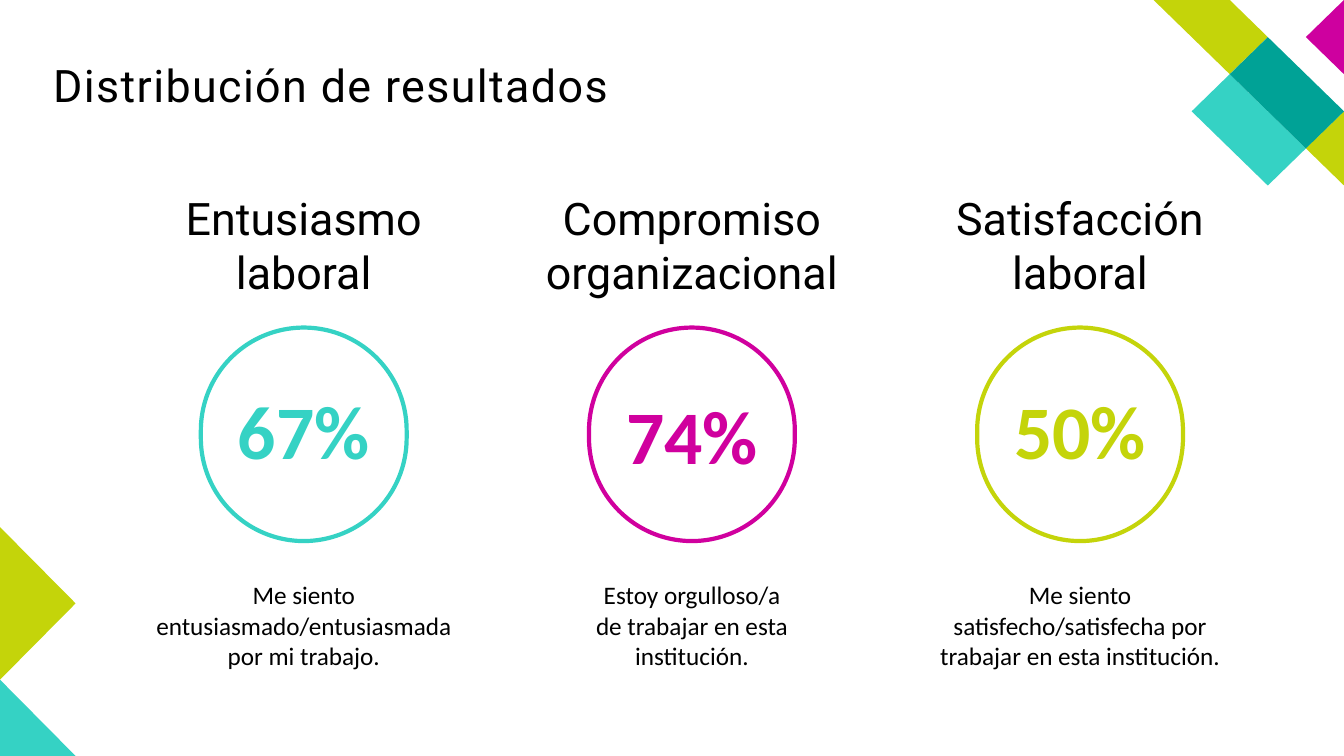
import pptx
import pptx.dml.color
import pptx.enum.shapes
import pptx.enum.text
import pptx.util

Pt = pptx.util.Pt
ALIGN = pptx.enum.text.PP_ALIGN
ANCHOR = pptx.enum.text.MSO_ANCHOR
AUTO_SIZE = pptx.enum.text.MSO_AUTO_SIZE

SLIDE_WIDTH, SLIDE_HEIGHT = 960, 540
BLACK, LIME, TURQUOISE, MAGENTA, TEAL = "000000", "C4D40A", "35D2C4", "CE009F", "00A296"
MAGENTA_RING = "D0009E"

HEADING = {"name": "Roboto", "size": Pt(32), "bold": False}
PERCENT = {"name": "Calibri", "size": Pt(54), "bold": True}
STATEMENT = {"name": "Calibri", "size": Pt(18), "bold": False}

CORNER_TILES = [
    (LIME, [[(3, 1), (2, 0), (0, 0), (2, 2)], [(5, 3), (4, 4), (5, 5)]]),
    (TURQUOISE, [[(2, 2), (1, 3), (3, 5), (4, 4)]]),
    (MAGENTA, [[(5, 2), (5, 0), (4, 1)]]),
    (TEAL, [[(3, 1), (2, 2), (4, 4), (5, 3)]]),
]
EDGE_TILES = [
    (TURQUOISE, [[(1, 3), (0, 3), (0, 2)]]),
    (LIME, [[(0, 0), (1, 1), (0, 2)]]),
]

RESULTS = [
    {"heading": ["Entusiasmo", "laboral"], "percent": "67%", "percent_top": 142,
     "color": TURQUOISE, "statement_width": 231,
     "statement": ["Me siento entusiasmado/entusiasmada por mi trabajo."]},
    {"heading": ["Compromiso organizacional"], "percent": "74%", "percent_top": 145.5,
     "color": MAGENTA_RING, "statement_width": 173.5,
     "statement": ["Estoy orgulloso/a", "de trabajar en esta institución."]},
    {"heading": ["Satisfacción laboral"], "percent": "50%", "percent_top": 142.5,
     "color": LIME, "statement_width": 217,
     "statement": ["Me siento satisfecho/satisfecha por trabajar en esta institución."]},
]


def rgb(value):
    """Turn a hex string into a colour."""
    return pptx.dml.color.RGBColor.from_string(value)


def apply_format(target, values):
    """Set every attribute of a dict on an object."""
    for name, value in values.items():
        setattr(target, name, value)


def write_lines(text_frame, lines, font, color, paragraph_format):
    """Write one formatted paragraph for each line."""
    for index, line in enumerate(lines):
        paragraph = text_frame.add_paragraph() if index else text_frame.paragraphs[0]
        run = paragraph.add_run()
        run.text = line
        apply_format(paragraph, paragraph_format)
        apply_format(run.font, font)
        run.font.color.rgb = rgb(color)


def add_title(slide, text, left, top, width, height):
    """Place and format the title placeholder."""
    title = slide.shapes.title
    apply_format(title, {"left": Pt(left), "top": Pt(top),
                         "width": Pt(width), "height": Pt(height)})
    apply_format(title.text_frame, {
        "margin_left": 0, "margin_top": 0, "margin_right": 0, "margin_bottom": 0,
        "word_wrap": True, "auto_size": AUTO_SIZE.NONE, "vertical_anchor": ANCHOR.MIDDLE})
    write_lines(title.text_frame, [text], HEADING, BLACK,
                {"alignment": ALIGN.LEFT, "line_spacing": 0.9, "space_before": Pt(0)})
    title.text_frame.paragraphs[0].runs[0].font._element.set("spc", "100")


def add_centered_text(slide, lines, font, color, center, top, width, height,
                      line_spacing=1.0, anchor=ANCHOR.TOP):
    """Add a text box centred on a column axis."""
    box = slide.shapes.add_textbox(Pt(center - width / 2), Pt(top), Pt(width), Pt(height))
    apply_format(box.text_frame, {"word_wrap": True, "vertical_anchor": anchor})
    write_lines(box.text_frame, lines, font, color,
                {"alignment": ALIGN.CENTER, "line_spacing": line_spacing})


def add_tiles(slide, tiles, left, top, width, height, columns, rows):
    """Draw coloured tiles on a grid that fills the given box."""
    def place(node):
        return Pt(left + node[0] * width / columns), Pt(top + node[1] * height / rows)

    for color, outlines in tiles:
        builder = slide.shapes.build_freeform(*place(outlines[0][0]))
        for index, outline in enumerate(outlines):
            if index:
                builder.move_to(*place(outline[0]))
            builder.add_line_segments([place(node) for node in outline[1:]], close=True)
        shape = builder.convert_to_shape()
        shape.shadow.inherit = False
        shape.fill.solid()
        shape.fill.fore_color.rgb = rgb(color)
        shape.line.fill.background()


def add_result(slide, result, left, top, width):
    """Draw a heading, a ringed percentage and a statement in one column."""
    center = left + width / 2
    add_centered_text(slide, result["heading"], HEADING, BLACK, center, top, width, 85)
    ring_width, ring_height = 147, 152.5
    ring = slide.shapes.add_shape(
        pptx.enum.shapes.MSO_SHAPE.ROUNDED_RECTANGLE,
        Pt(center - ring_width / 2), Pt(top + 101.5), Pt(ring_width), Pt(ring_height))
    ring.adjustments[0] = 0.5
    ring.shadow.inherit = False
    ring.fill.background()
    ring.line.color.rgb = rgb(result["color"])
    ring.line.width = Pt(3)
    add_centered_text(slide, [result["percent"]], PERCENT, result["color"], center,
                      top + result["percent_top"], 144, 72, 0.9, ANCHOR.MIDDLE)
    add_centered_text(slide, result["statement"], STATEMENT, BLACK, center,
                      top + 278, result["statement_width"], 73)


def add_results(slide, left, top, width, column_width):
    """Spread the result columns evenly over the given width."""
    step = (width - column_width) / (len(RESULTS) - 1)
    for index, result in enumerate(RESULTS):
        add_result(slide, result, left + index * step, top, column_width)


def main():
    """Build the slide and save it."""
    presentation = pptx.Presentation()
    presentation.slide_width = Pt(SLIDE_WIDTH)
    presentation.slide_height = Pt(SLIDE_HEIGHT)
    slide = presentation.slides.add_slide(presentation.slide_layouts[5])
    add_tiles(slide, CORNER_TILES, 824, 0, 136, 132.5, 5, 5)
    add_tiles(slide, EDGE_TILES, 0, 376.5, 54, 163.5, 1, 3)
    add_title(slide, "Distribución de resultados", 38, 34.5, 819.5, 56)
    add_results(slide, 86, 132.5, 816.5, 262)
    presentation.save("out.pptx")


if __name__ == "__main__":
    main()
